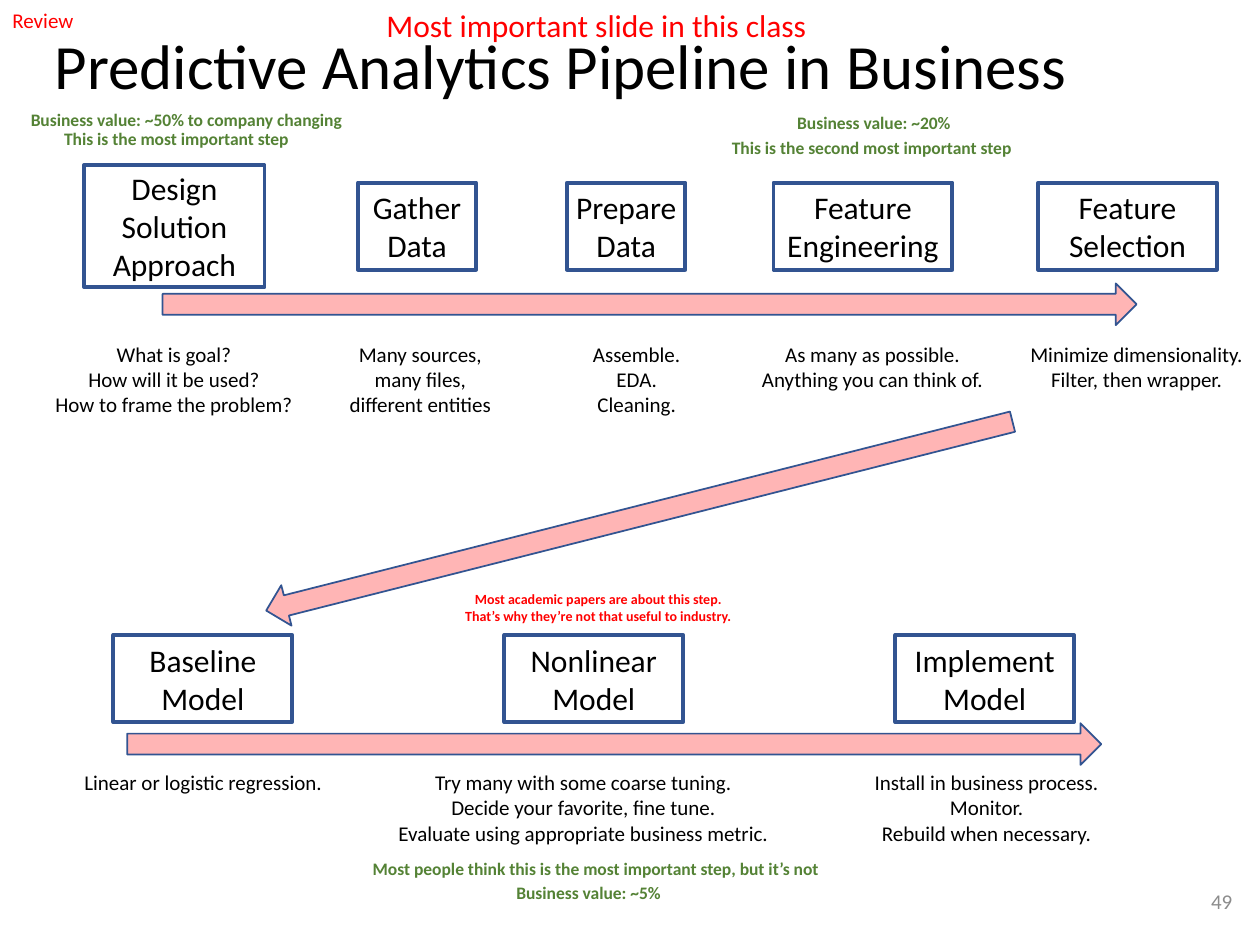
from dataclasses import dataclass

from lxml import etree
from pptx import Presentation
from pptx.dml.color import RGBColor
from pptx.enum.shapes import MSO_SHAPE
from pptx.enum.text import MSO_ANCHOR, PP_ALIGN
from pptx.oxml.ns import qn
from pptx.util import Pt

LEFT, CENTER, RIGHT = PP_ALIGN.LEFT, PP_ALIGN.CENTER, PP_ALIGN.RIGHT
TOP, MIDDLE = MSO_ANCHOR.TOP, MSO_ANCHOR.MIDDLE
RECTANGLE, RIGHT_ARROW = MSO_SHAPE.RECTANGLE, MSO_SHAPE.RIGHT_ARROW


@dataclass(frozen=True)
class Theme:
    font: str = "Calibri"
    ink: RGBColor = RGBColor(0x00, 0x00, 0x00)
    outline: RGBColor = RGBColor(0x32, 0x54, 0x91)
    red: RGBColor = RGBColor(0xFF, 0x00, 0x00)
    green: RGBColor = RGBColor(0x54, 0x82, 0x35)
    gray: RGBColor = RGBColor(0x8C, 0x8C, 0x8C)
    arrow_opacity: int = 29
    title: int = 36
    stage: int = 18
    caption: int = 12
    value: int = 10
    small: int = 8


class PipelineSlide:
    """Holds the theme and the current slide; all lengths are in points."""

    def __init__(self, slide, theme):
        self.slide = slide
        self.theme = theme

    def add_lines(self, text_frame, lines, size, color, align=LEFT, bold=False):
        for index, line in enumerate(lines):
            paragraph = text_frame.paragraphs[0] if index == 0 else text_frame.add_paragraph()
            paragraph.alignment = align
            run = paragraph.add_run()
            run.text = line
            run.font.name = self.theme.font
            run.font.size = Pt(size)
            run.font.bold = bold
            run.font.color.rgb = color

    def title(self, text, left, top, width, height):
        shape = self.slide.shapes.title
        shape.left, shape.top = Pt(left), Pt(top)
        shape.width, shape.height = Pt(width), Pt(height)
        text_frame = shape.text_frame
        text_frame.vertical_anchor = MIDDLE
        self.add_lines(text_frame, [text], self.theme.title, self.theme.ink)
        text_frame.paragraphs[0].line_spacing = 0.9

    def label(self, lines, left, top, width, height, size, color,
              align=LEFT, bold=False, wrap=False, anchor=TOP):
        box = self.slide.shapes.add_textbox(Pt(left), Pt(top), Pt(width), Pt(height))
        box.text_frame.word_wrap = wrap
        box.text_frame.vertical_anchor = anchor
        self.add_lines(box.text_frame, lines, size, color, align, bold)

    def value_note(self, text, left, top, width):
        self.label([text], left, top, width, 19.4, self.theme.value, self.theme.green, bold=True)

    def caption(self, lines, center, top, width):
        self.label(lines, center - width / 2, top, width, 7.2 + 14.6 * len(lines),
                   self.theme.caption, self.theme.ink, CENTER)

    def outlined_shape(self, kind, left, top, width, height, line_width):
        shape = self.slide.shapes.add_shape(kind, Pt(left), Pt(top), Pt(width), Pt(height))
        shape.shadow.inherit = False
        shape.line.color.rgb = self.theme.outline
        shape.line.width = Pt(line_width)
        return shape

    def stage(self, name, left, top, width, height):
        shape = self.outlined_shape(RECTANGLE, left, top, width, height, 2.25)
        shape.fill.background()
        text_frame = shape.text_frame
        text_frame.word_wrap = True
        text_frame.vertical_anchor = MIDDLE
        text_frame.margin_left = text_frame.margin_right = Pt(3)
        text_frame.margin_top = text_frame.margin_bottom = Pt(0)
        self.add_lines(text_frame, [name], self.theme.stage, self.theme.ink, CENTER)

    def arrow(self, left, top, width, rotation=0):
        shape = self.outlined_shape(RIGHT_ARROW, left, top, width, 23.8, 1)
        shape.rotation = rotation
        shape.fill.solid()
        shape.fill.fore_color.rgb = self.theme.red
        color = shape.element.spPr.find(qn("a:solidFill")).find(qn("a:srgbClr"))
        alpha = etree.SubElement(color, qn("a:alpha"))
        alpha.set("val", str(self.theme.arrow_opacity * 1000))


# Name, left, top, width, height
WIDE, NARROW, LOW = 102.2, 67.7, 49.7
TOP_ROW, BOTTOM_ROW = 104.4, 362.9
STAGES = [
    ("Design Solution Approach", 48.2, 94.3, 103, 69.8),
    ("Gather Data", 204.5, TOP_ROW, NARROW, LOW),
    ("Prepare Data", 324, TOP_ROW, NARROW, LOW),
    ("Feature Engineering", 442, TOP_ROW, WIDE, LOW),
    ("Feature Selection", 593.2, TOP_ROW, WIDE, LOW),
] + [
    (name, 64.8 + 223.4 * column, BOTTOM_ROW, WIDE, LOW)
    for column, name in enumerate(["Baseline Model", "Nonlinear Model", "Implement Model"])
]

# Lines, center, top, width
TOP_CAPTIONS, BOTTOM_CAPTIONS = 191.5, 436.3
CAPTIONS = [
    (["What is goal?", "How will it be used?", "How to frame the problem?"],
     99.4, TOP_CAPTIONS, 151),
    (["Many sources,", "many files,", "different entities"], 240.2, TOP_CAPTIONS, 96.5),
    (["Assemble.", "EDA.", "Cleaning."], 363.8, TOP_CAPTIONS, 65),
    (["As many as possible.", "Anything you can think of."], 498.6, TOP_CAPTIONS, 142),
    (["Minimize dimensionality.", "Filter, then wrapper."], 649.5, TOP_CAPTIONS, 137.5),
    (["Linear or logistic regression."], 116.2, BOTTOM_CAPTIONS, 152),
    (["Try many with some coarse tuning.", "Decide your favorite, fine tune.",
      "Evaluate using appropriate business metric."], 333.4, BOTTOM_CAPTIONS, 226),
    (["Install in business process.", "Monitor.", "Rebuild when necessary."],
     563.8, BOTTOM_CAPTIONS, 144),
]

# Text, left, top, width
VALUE_NOTES = [
    ("Business value: ~50% to company changing", 10.5, 58.5, 195),
    ("This is the most important step", 29.5, 69.8, 145.4),
    ("Business value: ~20%", 448.5, 60.5, 103.7),
    ("This is the second most important step", 411.1, 74.9, 177),
    ("Most people think this is the most important step, but it’s not", 205.9, 486.7, 274.3),
    ("Business value: ~5%", 288, 500.4, 98.6),
]


def main():
    presentation = Presentation()
    presentation.slide_width, presentation.slide_height = Pt(720), Pt(540)
    theme = Theme()
    title_only = presentation.slide_layouts[5]
    pipeline = PipelineSlide(presentation.slides.add_slide(title_only), theme)

    pipeline.title("Predictive Analytics Pipeline in Business", 24, 5.8, 672, 67.7)
    for stage in STAGES:
        pipeline.stage(*stage)
    for caption in CAPTIONS:
        pipeline.caption(*caption)

    pipeline.arrow(92.9, 162, 556.6)
    pipeline.arrow(72.7, 413.3, 556.6)
    pipeline.arrow(145.4, 283, 439.9, rotation=165.8)

    for note in VALUE_NOTES:
        pipeline.value_note(*note)
    pipeline.label(
        ["Most academic papers are about this step. That’s why they’re not that useful to industry."],
        255.6, 334.1, 172.8, 26.6, theme.small, theme.red, CENTER, bold=True, wrap=True)
    pipeline.label(["Most important slide in this class"], 213.8, 0, 257, 28.8,
                   theme.stage, theme.red)
    pipeline.label(["Review"], 0, 0.7, 49.7, 21.6, theme.caption, theme.red)
    pipeline.label(["49"], 670.3, 500.4, 41, 28.8, theme.caption, theme.gray,
                   RIGHT, anchor=MIDDLE, wrap=True)

    presentation.save("out.pptx")


if __name__ == "__main__":
    main()
